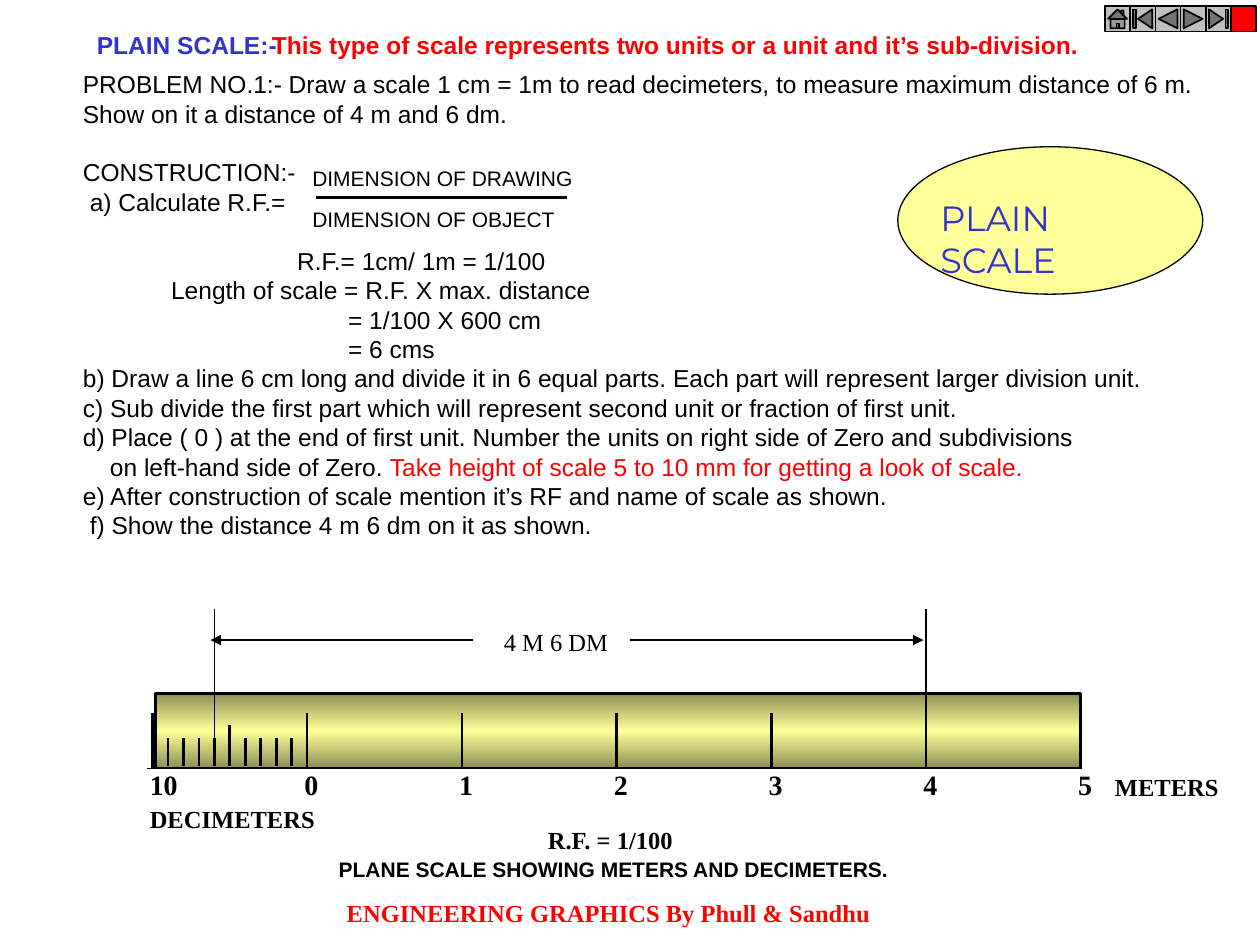
from copy import deepcopy
from dataclasses import dataclass
from typing import Any

from lxml.etree import SubElement
from pptx import Presentation
from pptx.dml.color import RGBColor
from pptx.enum.shapes import MSO_CONNECTOR as Link, MSO_SHAPE as Preset
from pptx.enum.text import PP_ALIGN as Align
from pptx.oxml.ns import qn
from pptx.util import Inches, Pt

BLACK = RGBColor(0x00, 0x00, 0x00)
RED = RGBColor(0xFF, 0x00, 0x00)
BLUE = RGBColor(0x33, 0x33, 0xCC)
GRAY = RGBColor(0xC0, 0xC0, 0xC0)
YELLOW = RGBColor(0xFF, 0xFF, 0x99)
OLIVE = RGBColor(0x8F, 0x8F, 0x56)

SANS, SERIF, ROUND = "Arial", "Times New Roman", "Montserrat"
COLUMNS, ROWS = 100, 75
LINE_PITCH = 16.83  # points between lines of the body text


@dataclass
class Sheet:
    """Style and current slide; lengths are columns and rows of the grid."""
    slide: Any
    column: float
    row: float
    font: str = SANS
    size: float = 14

    def place(self, left, top, width, height):
        return (round(left * self.column), round(top * self.row),
                round(width * self.column), round(height * self.row))

    def add_run(self, para, words, color=BLACK, bold=False, font=None, size=None):
        span = para.add_run()
        span.text = words
        span.font.name = font or self.font
        span.font.size = Pt(size or self.size)
        span.font.bold = bold
        span.font.color.rgb = color

    def frame(self, area, wrap=False):
        box = self.slide.shapes.add_textbox(*self.place(*area))
        box.text_frame.word_wrap = wrap
        return box.text_frame

    def label(self, words, area, wrap=False, align=Align.LEFT, **style):
        para = self.frame(area, wrap).paragraphs[0]
        para.alignment = align
        self.add_run(para, words, **style)

    def body(self, lines, area):
        """Each line is (indent in columns, blank lines above, runs)."""
        frame = self.frame(area)
        for number, (indent, gap, runs) in enumerate(lines):
            para = frame.add_paragraph() if number else frame.paragraphs[0]
            para.line_spacing = Pt(LINE_PITCH)
            para.space_before = Pt(gap * LINE_PITCH)
            para._p.get_or_add_pPr().set("marL", str(round(indent * self.column)))
            for words, color in runs:
                self.add_run(para, words, color)

    def shape(self, preset, area, color, weight=0.75):
        item = self.slide.shapes.add_shape(preset, *self.place(*area))
        item.shadow.inherit = False
        item.fill.solid()
        item.fill.fore_color.rgb = color
        item.line.color.rgb = BLACK
        item.line.width = Pt(weight)
        return item

    def bar(self, area, edge, middle):
        """Rectangle shaded from edge colour to middle colour and back."""
        item = self.shape(Preset.RECTANGLE, area, middle, 1.5)
        item.fill.gradient()
        item.fill.gradient_angle = 90
        stops = item._element.spPr.find(qn("a:gradFill")).find(qn("a:gsLst"))
        stops.append(deepcopy(stops[-1]))
        for stop, color, position in zip(
                item.fill.gradient_stops, (edge, middle, edge), (0, 0.5, 1)):
            stop.color.rgb = color
            stop.position = position

    def line(self, x1, y1, x2, y2, weight=1.5, arrow=False):
        start, end = self.place(x1, y1, 0, 0)[:2], self.place(x2, y2, 0, 0)[:2]
        item = self.slide.shapes.add_connector(Link.STRAIGHT, *start, *end)
        item.line.color.rgb = BLACK
        item.line.width = Pt(weight)
        if arrow:
            SubElement(item.line._get_or_add_ln(), qn("a:tailEnd"), type="triangle")
        SubElement(item._element.spPr, qn("a:effectLst"))


def draw_scale(sheet):
    start, meter, base = 12.1, 12.28, 61
    zero = start + meter
    end = start + 6 * meter
    sheet.bar((12.35, 55.05, 73.4, 5.9), OLIVE, YELLOW)
    sheet.line(11.7, base, end, base, 0.75)

    # Meter marks and their numbers
    for index in range(7):
        x = start + index * meter
        sheet.line(x, 56.6, x, base)
        number, width = (str(index - 1), 3.1) if index else ("10", 4.2)
        sheet.label(number, (x - 1.2, 60.4, width, 3.7),
                    font=SERIF, size=16, bold=True)

    # Decimeter marks, the middle one taller
    for index in range(1, 10):
        x = start + index * meter / 10
        sheet.line(x, 57.5 if index == 5 else 58.6, x, 60.8)

    # Measured distance: 6 dm left of zero to 4 m right of it
    left, right = zero - 0.6 * meter, zero + 4 * meter
    sheet.line(left, 59.2, left, 48.3, 0.75)
    sheet.line(right, 57.5, right, 48.3, 0.75)
    sheet.line(37.5, 50.8, left - 0.3, 50.8, 0.75, arrow=True)
    sheet.line(50, 50.8, right - 0.2, 50.8, 0.75, arrow=True)
    sheet.label("4 M 6 DM", (39, 49.3, 10.3, 3.4), font=SERIF)

    # Captions
    for words, area in (("METERS", (87.5, 60.8, 10.2, 3.4)),
                        ("DECIMETERS", (10.9, 63.3, 15.1, 3.4)),
                        ("R.F. = 1/100", (42.5, 65, 12.1, 3.4))):
        sheet.label(words, area, font=SERIF, bold=True)
    sheet.label("PLANE SCALE SHOWING METERS AND DECIMETERS.",
                (25.9, 67.5, 45.7, 3), size=12, bold=True)


def draw_text(sheet):
    # Heading
    sheet.label("PLAIN SCALE:-", (6.7, 1.9, 16.8, 3.4), color=BLUE, bold=True)
    sheet.label("This type of scale represents two units or a unit and it’s sub-division.",
                (20.6, 1.9, 66.1, 3.4), color=RED, bold=True)

    # Problem and construction steps
    plain = [
        (0, 0, "PROBLEM NO.1:- Draw a scale 1 cm = 1m to read decimeters, to measure maximum distance of 6 m."),
        (0, 0, "Show on it a distance of 4 m and 6 dm."),
        (0, 1, "CONSTRUCTION:-"),
        (0.55, 0, "a) Calculate R.F.="),
        (17, 1, "R.F.= 1cm/ 1m = 1/100"),
        (7, 0, "Length of scale = R.F. X max. distance"),
        (21.05, 0, "= 1/100 X 600 cm"),
        (21.05, 0, "= 6 cms"),
        (0, 0, "b) Draw a line 6 cm long and divide it in 6 equal parts. Each part will represent larger division unit."),
        (0, 0, "c) Sub divide the first part which will represent second unit or fraction of first unit."),
        (0, 0, "d) Place ( 0 ) at the end of first unit. Number the units on right side of Zero and subdivisions"),
        (2.15, 0, "on left-hand side of Zero. "),
        (0, 0, "e) After construction of scale mention it’s RF and name of scale as shown."),
        (0.55, 0, "f) Show the distance 4 m 6 dm on it as shown."),
    ]
    lines = [(indent, gap, [(words, BLACK)]) for indent, gap, words in plain]
    lines[11][2].append(
        ("Take height of scale 5 to 10 mm for getting a look of scale.", RED))
    sheet.body(lines, (5.6, 5, 92, 43.1))

    # Fraction
    for words, top in (("DIMENSION OF DRAWING", 12.65),
                       ("DIMENSION OF OBJECT", 15.9)):
        sheet.label(words, (23.8, top, 22.8, 3), size=12)
    sheet.line(25.1, 15.7, 45, 15.7)

    # Footer
    sheet.label("ENGINEERING GRAPHICS By Phull & Sandhu", (23.3, 70.8, 50, 4.2),
                wrap=True, align=Align.CENTER, font=SERIF, color=RED, bold=True)


def main():
    deck = Presentation()
    deck.slide_width, deck.slide_height = Inches(10), Inches(7.5)
    page = deck.slides.add_slide(deck.slide_layouts[6])
    sheet = Sheet(page, deck.slide_width / COLUMNS, deck.slide_height / ROWS)

    draw_scale(sheet)
    draw_text(sheet)

    # Title badge
    sheet.shape(Preset.OVAL, (71.25, 11.65, 24.2, 11.7), YELLOW)
    sheet.label("PLAIN SCALE", (73.65, 15.1, 19.5, 4.4), wrap=True,
                font=ROUND, size=20, color=BLUE)

    # Navigation buttons
    buttons = (Preset.ACTION_BUTTON_HOME, Preset.ACTION_BUTTON_BEGINNING,
               Preset.ACTION_BUTTON_BACK_OR_PREVIOUS,
               Preset.ACTION_BUTTON_FORWARD_OR_NEXT,
               Preset.ACTION_BUTTON_END, Preset.ACTION_BUTTON_CUSTOM)
    for index, button in enumerate(buttons):
        color = RED if button == Preset.ACTION_BUTTON_CUSTOM else GRAY
        sheet.shape(button, (87.7 + 2 * index, 0.5, 2, 2), color, 1)

    deck.save("out.pptx")


if __name__ == "__main__":
    main()
